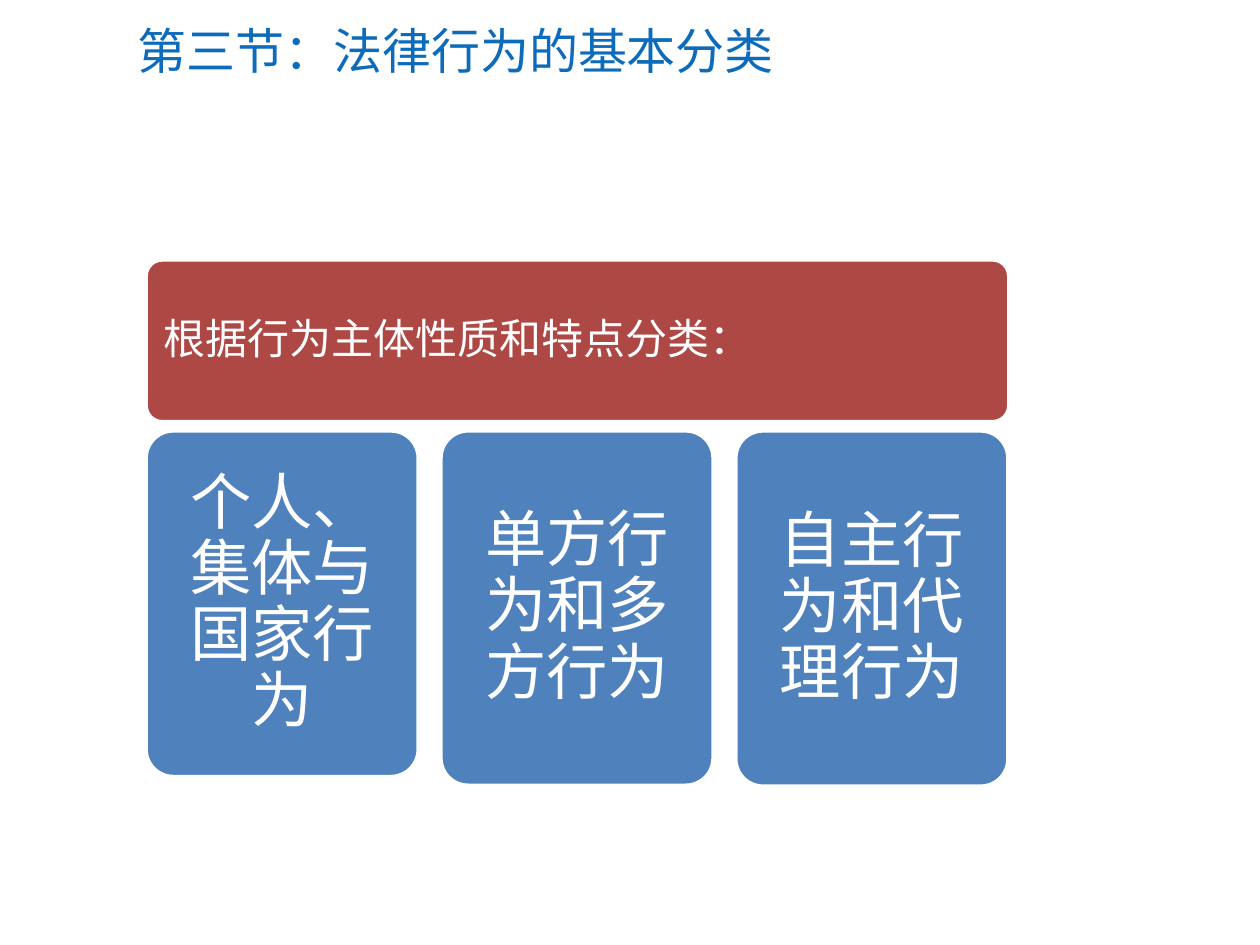
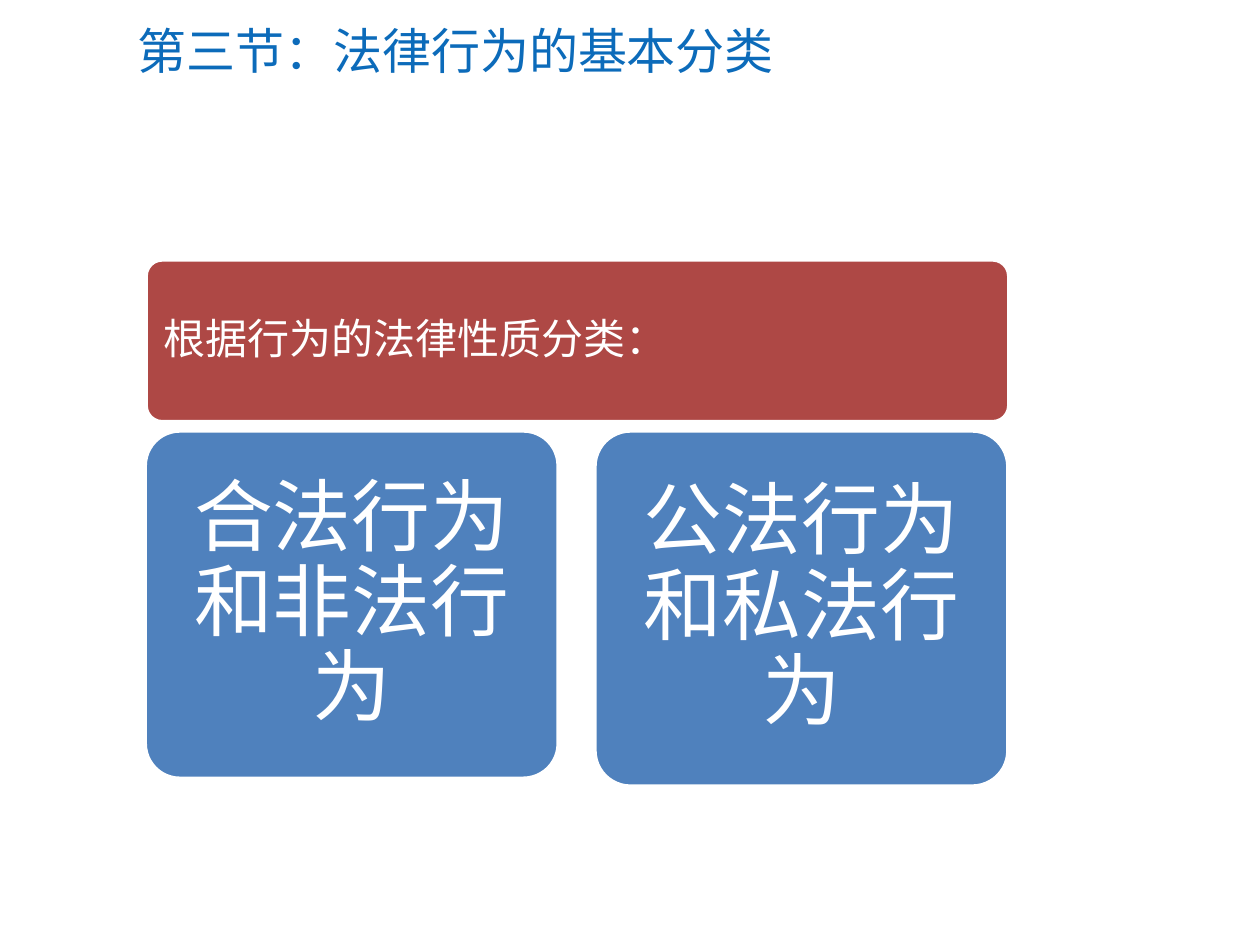
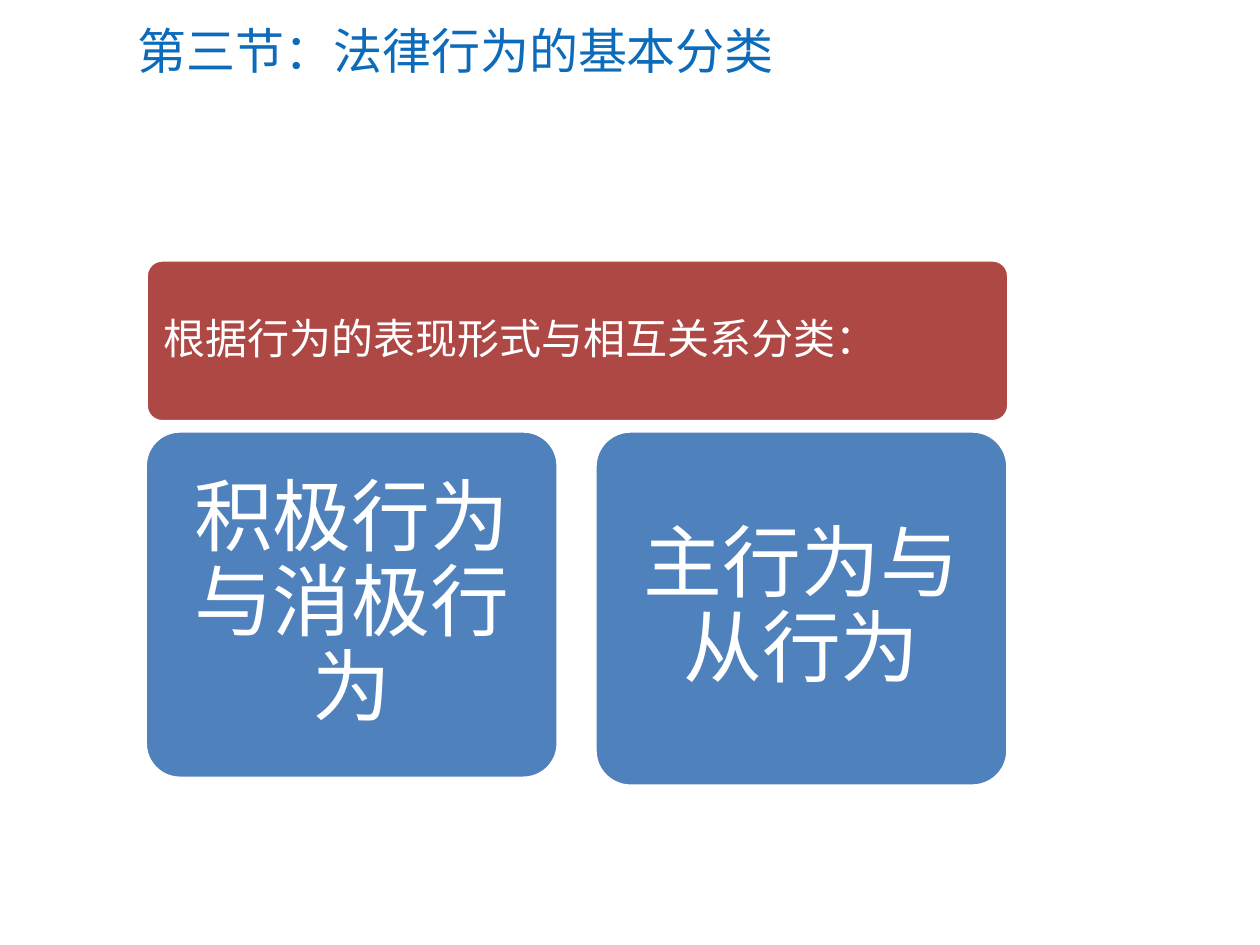
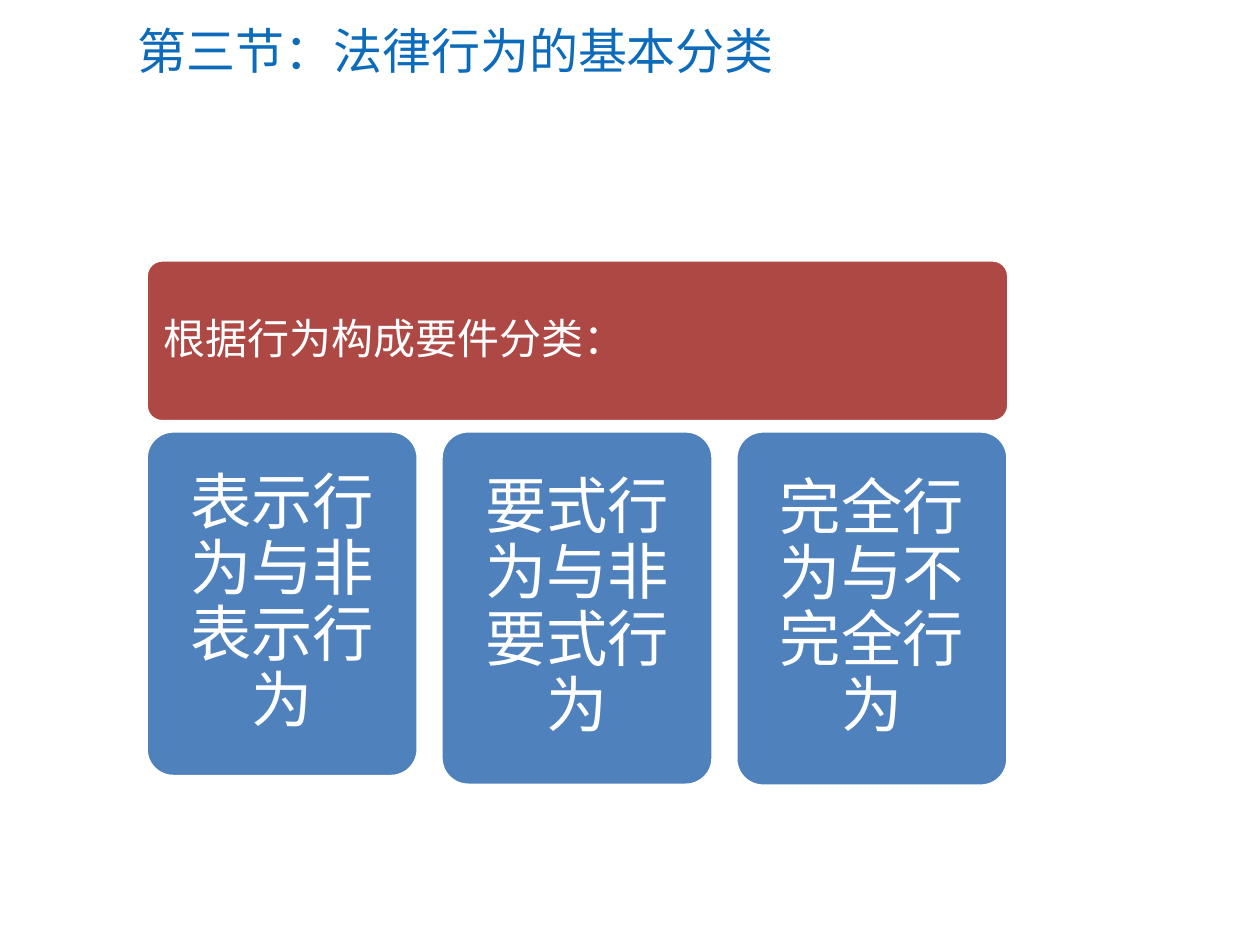
from pptx import Presentation
from pptx.dml.color import RGBColor
from pptx.enum.shapes import MSO_SHAPE as Shape
from pptx.enum.text import MSO_ANCHOR as Anchor, PP_ALIGN as Align
from pptx.util import Pt

# Shared style
FONT = "Calibri"
BLUE, RED, CARD, WHITE = "0C6BBA", "AE4845", "4F81BD", "FFFFFF"
TITLE = "第三节：法律行为的基本分类"

# Card rows by number of cards: left, step, width, heights, text size, inset
ROWS = {
    2: (83, 257, 236, (198.5, 203), 45, 13.5),
    3: (83.5, 168.5, 155.5, (197.5, 202.5, 203), 35, 10.5),
}

# Band text and card texts of each slide
PAGES = [
    ("根据行为主体性质和特点分类：",
     ["个人、集体与国家行为", "单方行为和多方行为", "自主行为和代理行为"]),
    ("根据行为的法律性质分类：",
     ["合法行为和非法行为", "公法行为和私法行为"]),
    ("根据行为的表现形式与相互关系分类：",
     ["积极行为与消极行为", "主行为与从行为"]),
    ("根据行为构成要件分类：",
     ["表示行为与非表示行为", "要式行为与非要式行为", "完全行为与不完全行为"]),
]


def style(para, size, tone, align):
    para.alignment = align
    para.font.name = FONT
    para.font.size = Pt(size)
    para.font.color.rgb = RGBColor.from_string(tone)


def add_box(slide, text, area, fill, size, inset, align):
    box = slide.shapes.add_shape(Shape.ROUNDED_RECTANGLE, *map(Pt, area))
    box.adjustments[0] = 0.1
    box.shadow.inherit = False
    box.fill.solid()
    box.fill.fore_color.rgb = RGBColor.from_string(fill)
    box.line.color.rgb = RGBColor.from_string(WHITE)
    box.line.width = Pt(2)
    frame = box.text_frame
    frame.word_wrap = True
    frame.vertical_anchor = Anchor.MIDDLE
    frame.margin_left = frame.margin_right = Pt(inset)
    frame.margin_top = frame.margin_bottom = Pt(inset)
    frame.text = text
    para = frame.paragraphs[0]
    para.line_spacing = 0.9
    para.space_after = Pt(0.35 * size)
    style(para, size, WHITE, align)


deck = Presentation()
deck.slide_width, deck.slide_height = Pt(720), Pt(540)

for band, cards in PAGES:
    slide = deck.slides.add_slide(deck.slide_layouts[5])

    # Title
    title = slide.shapes.title
    title.left, title.top, title.width, title.height = map(Pt, (71.5, 7.5, 628, 41.5))
    title.text_frame.text = TITLE
    title.text_frame.vertical_anchor = Anchor.MIDDLE
    style(title.text_frame.paragraphs[0], 28, BLUE, Align.LEFT)

    # Red band
    add_box(slide, band, (83.5, 148.5, 493, 92.5), RED, 24, 7.2, Align.LEFT)

    # Row of cards
    left, step, width, highs, size, inset = ROWS[len(cards)]
    for i, (text, high) in enumerate(zip(cards, highs)):
        area = (left + i * step, 246.25, width, high)
        add_box(slide, text, area, CARD, size, inset, Align.CENTER)

deck.save("out.pptx")
